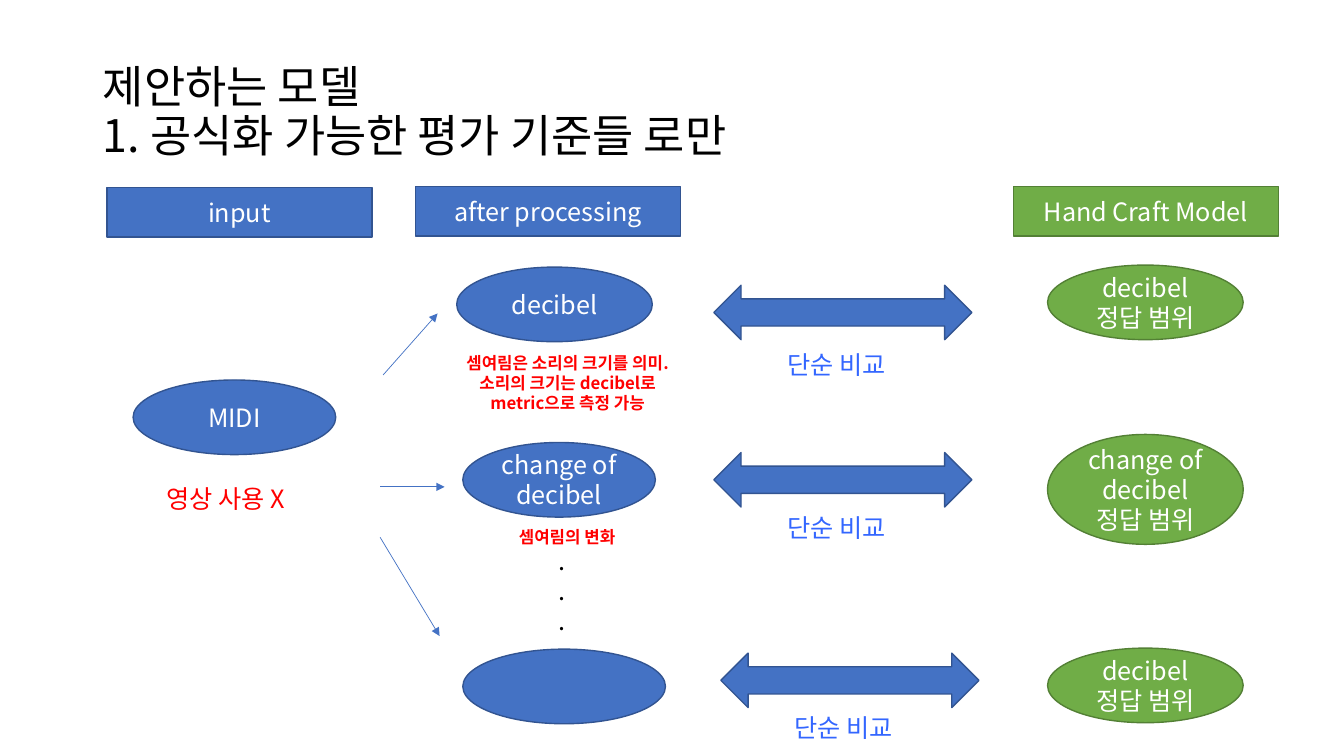
from lxml import etree
from pptx import Presentation
from pptx.dml.color import RGBColor
from pptx.enum.shapes import MSO_CONNECTOR, MSO_SHAPE
from pptx.enum.text import MSO_ANCHOR, PP_ALIGN
from pptx.oxml.ns import qn
from pptx.util import Inches, Pt

RECTANGLE, OVAL = MSO_SHAPE.RECTANGLE, MSO_SHAPE.OVAL
DOUBLE_ARROW = MSO_SHAPE.LEFT_RIGHT_ARROW
STRAIGHT = MSO_CONNECTOR.STRAIGHT
MIDDLE, TOP = MSO_ANCHOR.MIDDLE, MSO_ANCHOR.TOP
LEFT, CENTER = PP_ALIGN.LEFT, PP_ALIGN.CENTER
FONT = "Noto Sans CJK KR"
COLORS = {
    "blue": "4472C4", "blue_edge": "325491",
    "green": "70AD47", "green_edge": "538035",
    "white": "FFFFFF", "black": "000000", "red": "FF0000", "label": "3366FF",
}


def color(name):
    """Return the named colour."""
    return RGBColor.from_string(COLORS[name])


def add_span(para, text, size, ink, bold=False):
    """Add one run in the slide's font for Latin and Korean text."""
    span = para.add_run()
    span.text = text
    span.font.name = FONT
    span.font.size = Pt(size)
    span.font.bold = bold
    span.font.color.rgb = color(ink)
    east_asian = etree.SubElement(span.font._element, qn("a:ea"))
    east_asian.set("typeface", FONT)


def write_lines(frame, lines, size, ink, align, bold=False):
    """Write each line as its own paragraph."""
    for index, line in enumerate(lines):
        para = frame.add_paragraph() if index else frame.paragraphs[0]
        para.alignment = align
        add_span(para, line, size, ink, bold)


def add_title(page, lines):
    """Place the title and break its lines within one paragraph."""
    title = page.shapes.title
    title.left, title.top = Inches(0.92), Inches(0.4)
    title.width, title.height = Inches(11.5), Inches(1.45)
    title.text_frame.vertical_anchor = MIDDLE
    para = title.text_frame.paragraphs[0]
    para.alignment = LEFT
    para.line_spacing = 0.9
    for index, line in enumerate(lines):
        if index:
            para.add_line_break()
        add_span(para, line, 32, "black")


def add_block(page, kind, at, lines=(), fill="blue"):
    """Add a filled shape with centred white text."""
    block = page.shapes.add_shape(kind, *map(Inches, at))
    block.shadow.inherit = False
    block.fill.solid()
    block.fill.fore_color.rgb = color(fill)
    block.line.color.rgb = color(fill + "_edge")
    block.line.width = Pt(1)
    block.text_frame.word_wrap = True
    block.text_frame.vertical_anchor = MIDDLE
    write_lines(block.text_frame, lines, 18, "white", CENTER)


def add_label(page, at, lines, ink, size=18, align=LEFT, bold=False):
    """Add a text box that does not wrap."""
    box = page.shapes.add_textbox(*map(Inches, at))
    box.text_frame.word_wrap = False
    box.text_frame.vertical_anchor = TOP
    write_lines(box.text_frame, lines, size, ink, align, bold)


def add_arrow(page, start, end):
    """Add a thin arrow between two points."""
    arrow = page.shapes.add_connector(STRAIGHT, *map(Inches, start + end))
    arrow.line.color.rgb = color("blue")
    arrow.line.width = Pt(0.5)
    head = etree.SubElement(arrow.line._get_or_add_ln(), qn("a:tailEnd"))
    head.set("type", "triangle")
    etree.SubElement(arrow._element.spPr, qn("a:effectLst"))


def main():
    """Build the slide and save the deck."""
    deck = Presentation()
    deck.slide_width, deck.slide_height = Inches(13.33), Inches(7.5)
    page = deck.slides.add_slide(deck.slide_layouts[5])
    add_title(page, ["제안하는 모델", "1. 공식화 가능한 평가 기준들 로만"])

    headers = [
        (1.06, 1.86, "input", "blue"),
        (4.12, 1.85, "after processing", "blue"),
        (10.05, 1.85, "Hand Craft Model", "green"),
    ]
    for left, top, text, fill in headers:
        add_block(page, RECTANGLE, (left, top, 2.63, 0.49), [text], fill)

    add_block(page, OVAL, (1.32, 3.77, 2.01, 0.74), ["MIDI"])
    add_label(page, (1.55, 4.75, 1.54, 0.4), ["영상 사용 X"], "red")

    features = [
        ((4.53, 2.65, 1.94, 0.74), ["decibel"]),
        ((4.59, 4.39, 1.91, 0.74), ["change of decibel"]),
        ((4.59, 6.44, 2.01, 0.74), []),
    ]
    for at, lines in features:
        add_block(page, OVAL, at, lines)

    notes = [
        ((4.41, 3.45, 2.44, 0.71),
         ["셈여림은 소리의 크기를 의미.", "소리의 크기는 decibel로", "metric으로 측정 가능"]),
        ((4.99, 5.18, 1.27, 0.3), ["셈여림의 변화"]),
    ]
    for at, lines in notes:
        add_label(page, at, lines, "red", 12, CENTER, True)
    add_label(page, (5.44, 5.36, 0.26, 1.01), ["."] * 3, "black")

    flows = [
        ((3.8, 3.72), (4.34, 3.11)),
        ((3.77, 4.83), (4.41, 4.83)),
        ((3.77, 5.33), (4.36, 6.31)),
    ]
    for start, end in flows:
        add_arrow(page, start, end)

    answers = [
        (2.63, 0.74, "decibel"),
        (4.31, 1.09, "change of decibel"),
        (6.43, 0.74, "decibel"),
    ]
    for top, height, text in answers:
        add_block(page, OVAL, (10.39, top, 1.94, height), [text, "정답 범위"], "green")

    comparisons = [(7.08, 2.83, 3.42), (7.08, 4.49, 5.03), (7.15, 6.48, 7.02)]
    for left, top, label_top in comparisons:
        add_block(page, DOUBLE_ARROW, (left, top, 2.56, 0.54))
        add_label(page, (left + 0.63, label_top, 1.3, 0.4), ["단순 비교"], "label")

    deck.save("out.pptx")


if __name__ == "__main__":
    main()
